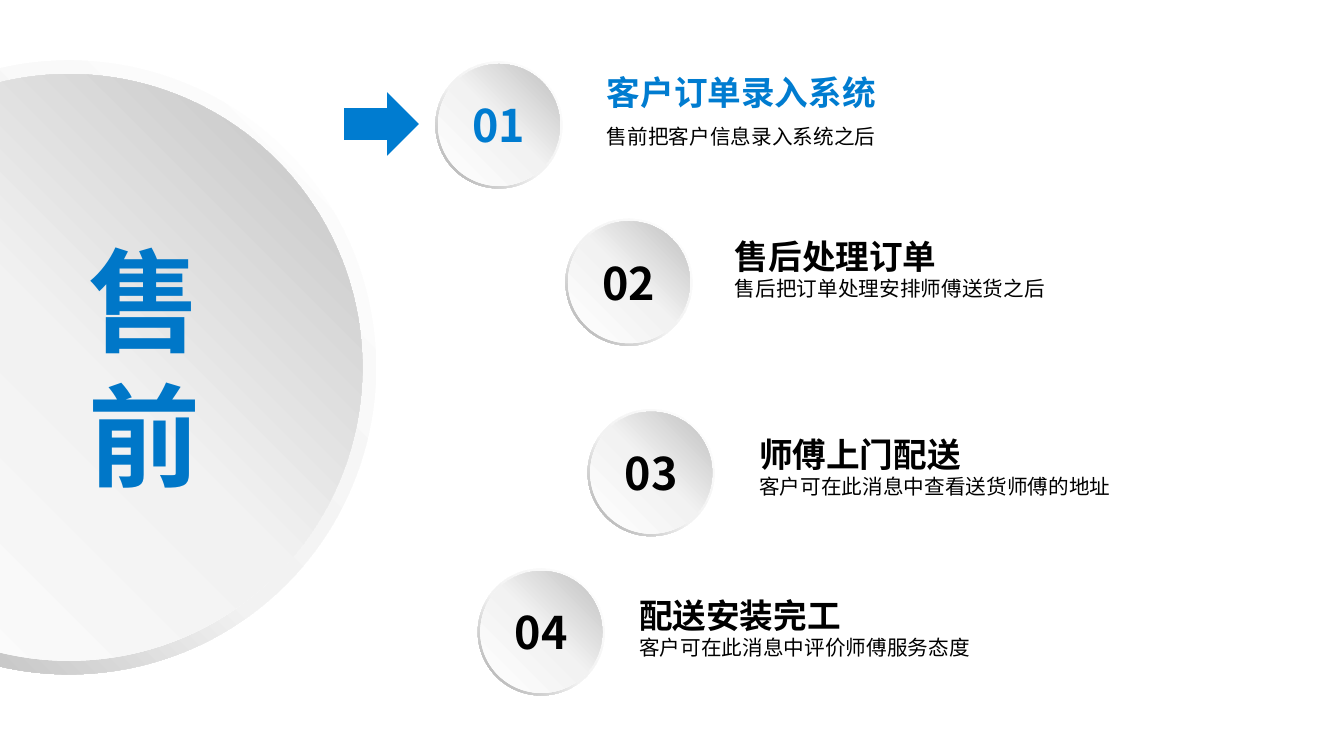
from copy import deepcopy
from dataclasses import dataclass
from typing import Any

from pptx import Presentation
from pptx.dml.color import RGBColor
from pptx.enum.shapes import MSO_SHAPE
from pptx.enum.text import MSO_ANCHOR, MSO_AUTO_SIZE, PP_ALIGN
from pptx.oxml import parse_xml
from pptx.oxml.ns import nsdecls, qn
from pptx.util import Emu, Inches, Pt

WIDE, HIGH = Inches(13.33), Inches(7.5)
COLS, ROWS = 160, 90


@dataclass(frozen=True)
class Theme:
    face: str = "Noto Sans CJK SC"
    deep: str = "0077C8"
    blue: str = "007CD0"
    ink: str = "000000"
    rim: tuple = ((0, "FFFFFF"), (0.55, "F2F2F2"), (1, "A6A6A6"))
    disc: tuple = ((0, "FFFFFF"), (0.51, "F2F2F2"), (1, "BFBFBF"))
    huge: float = 80
    digit: float = 32
    head: float = 24
    note: float = 14.7


@dataclass(frozen=True)
class Box:
    col: float
    row: float
    wide: float
    high: float

    def place(self) -> tuple[Emu, ...]:
        cell, line = WIDE / COLS, HIGH / ROWS
        return (Emu(round(self.col * cell)), Emu(round(self.row * line)),
                Emu(round(self.wide * cell)), Emu(round(self.high * line)))


@dataclass(frozen=True)
class Dial:
    col: float
    row: float
    rim: float
    disc: float

    def box(self, wide: float, high: float) -> Box:
        return Box(self.col - wide / 2, self.row - high / 2, wide, high)


@dataclass(frozen=True)
class Step:
    label: str
    dial: Dial
    text: Box
    head: str
    note: str
    tint: str
    lead: float = 1.0


THEME = Theme()
RIM, DISC = 15.12, 14.52
STAGE = Dial(8.22, 43.74, 73.08, 69.84)
TITLE = Box(4.44, 27.6, 25.44, 32.28)
ARROW = Box(41.64, 10.32, 7.56, 8.88)
STEPS = (
    Step("01", Dial(59.4, 14.88, RIM, DISC), Box(70.68, 7.8, 45.72, 10.8),
         "客户订单录入系统", "售前把客户信息录入系统之后", THEME.blue, 1.5),
    Step("02", Dial(74.88, 33.6, RIM, DISC), Box(85.92, 27.36, 45.72, 9.36),
         "售后处理订单", "售后把订单处理安排师傅送货之后", THEME.ink),
    Step("03", Dial(77.52, 56.28, RIM, DISC), Box(88.8, 50.88, 45.72, 9.36),
         "师傅上门配送", "客户可在此消息中查看送货师傅的地址", THEME.ink),
    Step("04", Dial(64.44, 75.24, RIM, DISC), Box(74.52, 70.08, 45.72, 9.36),
         "配送安装完工", "客户可在此消息中评价师傅服务态度", THEME.ink),
)


def apply(item: Any, form: dict[str, Any]) -> None:
    for name, value in form.items():
        setattr(item, name, value)


def frame(shape: Any, box: Box, side: float, edge: float, anchor: Any) -> Any:
    apply(shape, dict(zip(("left", "top", "width", "height"), box.place())))
    apply(shape.text_frame, {
        "word_wrap": True, "auto_size": MSO_AUTO_SIZE.SHAPE_TO_FIT_TEXT,
        "margin_left": Inches(side), "margin_right": Inches(side),
        "margin_top": Inches(edge), "margin_bottom": Inches(edge),
        "vertical_anchor": anchor})
    return shape.text_frame


def write(para: Any, text: str, size: float, tint: str, bold: bool,
          align: Any = PP_ALIGN.LEFT, lead: float = 1.0) -> None:
    apply(para, {"alignment": align, "line_spacing": lead})
    run = para.add_run()
    run.text = text
    apply(run.font, {"size": Pt(size), "bold": bold, "name": THEME.face})
    run.font.color.rgb = RGBColor.from_string(tint)
    run.font._element.find(qn("a:latin")).addnext(
        parse_xml(f'<a:ea {nsdecls("a")} typeface="{THEME.face}"/>'))


def draw(slide: Any, kind: Any, box: Box) -> Any:
    shape = slide.shapes.add_shape(kind, *box.place())
    shape.shadow.inherit = False
    shape.line.fill.background()
    return shape


def shade(shape: Any, stops: tuple, angle: float) -> None:
    fill = shape.fill
    fill.gradient()
    fill.gradient_angle = angle
    last = list(shape._element.iter(qn("a:gs")))[-1]
    last.addnext(deepcopy(last))
    for stop, (spot, tint) in zip(fill.gradient_stops, stops):
        stop.position = spot
        stop.color.rgb = RGBColor.from_string(tint)


def turn(slide: Any, dial: Dial) -> None:
    rim = draw(slide, MSO_SHAPE.DONUT, dial.box(dial.rim, dial.rim))
    rim.adjustments[0] = 0.049
    shade(rim, THEME.rim, 225)
    disc = draw(slide, MSO_SHAPE.OVAL, dial.box(dial.disc, dial.disc))
    shade(disc, THEME.disc, 45)


def show(slide: Any, step: Step) -> None:
    turn(slide, step.dial)
    box = step.dial.box(10.2, 6.48)
    label = slide.shapes.add_textbox(*box.place())
    body = frame(label, box, 0, 0, MSO_ANCHOR.MIDDLE)
    write(body.paragraphs[0], step.label, THEME.digit, step.tint, True,
          PP_ALIGN.CENTER)
    text = slide.shapes.add_textbox(*step.text.place())
    body = frame(text, step.text, 0.13, 0.06, MSO_ANCHOR.TOP)
    write(body.paragraphs[0], step.head, THEME.head, step.tint, True)
    write(body.add_paragraph(), step.note, THEME.note, THEME.ink, False,
          lead=step.lead)


def main() -> None:
    deck = Presentation()
    apply(deck, {"slide_width": WIDE, "slide_height": HIGH})
    slide = deck.slides.add_slide(deck.slide_layouts[5])
    turn(slide, STAGE)
    title = slide.shapes.title
    body = frame(title, TITLE, 0, 0, MSO_ANCHOR.TOP)
    write(body.paragraphs[0], "售前", THEME.huge, THEME.deep, True,
          PP_ALIGN.CENTER)
    slide.shapes._spTree.append(title._element)
    for step in STEPS:
        show(slide, step)
    arrow = draw(slide, MSO_SHAPE.DOWN_ARROW, ARROW)
    arrow.rotation = 270
    arrow.fill.solid()
    arrow.fill.fore_color.rgb = RGBColor.from_string(THEME.blue)
    deck.save("out.pptx")


if __name__ == "__main__":
    main()
